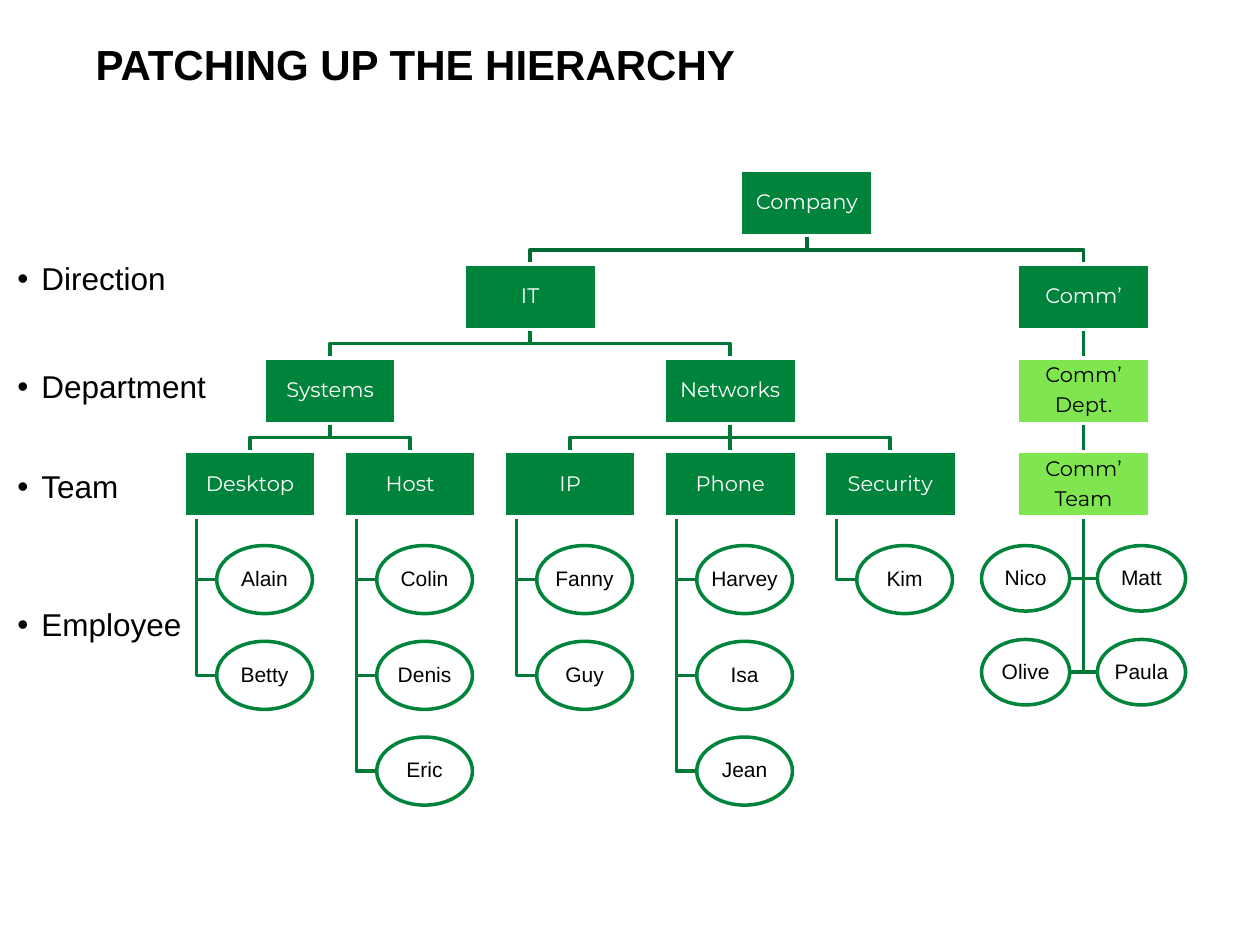
from pptx import Presentation
from pptx.dml.color import RGBColor
from pptx.enum.shapes import MSO_CONNECTOR, MSO_SHAPE
from pptx.enum.text import MSO_ANCHOR, PP_ALIGN
from pptx.oxml.ns import qn
from pptx.util import Inches, Pt
from lxml import etree

RECT, OVAL = MSO_SHAPE.RECTANGLE, MSO_SHAPE.OVAL
STRAIGHT = MSO_CONNECTOR.STRAIGHT
MIDDLE, TOP = MSO_ANCHOR.MIDDLE, MSO_ANCHOR.TOP
CENTER, LEFT = PP_ALIGN.CENTER, PP_ALIGN.LEFT

# Content: a unit is (name, sub-units); a team is (name, list of employees)
TITLE = "PATCHING UP THE HIERARCHY"
LEVELS = [("Direction", 2.04), ("Department", 2.9), ("Team", 3.69), ("Employee", 4.79)]
COMM_TEAM = "Comm’\nTeam"
COMPANY = ("Company", [
    ("IT", [
        ("Systems", [
            ("Desktop", ["Alain", "Betty"]),
            ("Host", ["Colin", "Denis", "Eric"])]),
        ("Networks", [
            ("IP", ["Fanny", "Guy"]),
            ("Phone", ["Harvey", "Isa", "Jean"]),
            ("Security", ["Kim"])])]),
    ("Comm’", [
        ("Comm’\nDept.", [
            (COMM_TEAM, ["Nico", "Matt", "Olive", "Paula"])])])])
ADDED = {"Comm’\nDept.", COMM_TEAM}

THEME = {
    "box": "00843C", "added": "7FE650", "white": "FFFFFF", "black": "000000",
    "root_line": "006A30", "line": "007836", "line_width": 2,
    "body": "Arial", "accent": "Montserrat",
    "title_size": 24, "level_size": 18, "node_size": 12,
}

# Grid, in inches
BOX_W, BOX_H = 1.05, 0.52
ROW_TOP, ROW_STEP = 1.35, 0.745
COL_MID, COL_STEP = 1.985, 1.27
COMM_MID = 8.6
STAFF_TOP = 4.33
STACK = {"w": 0.76, "h": 0.54, "step": 0.76}
PAIR = {"w": 0.7, "h": 0.52, "step": 0.745}
STEM_INSET, STACK_INSET, PAIR_GAP = 0.1, 0.26, 0.11

prs = Presentation()
prs.slide_width, prs.slide_height = Inches(10), Inches(7.5)
s = prs.slides.add_slide(prs.slide_layouts[6])


def rgb(key):
    return RGBColor.from_string(THEME[key])


def set_all(obj, values):
    for name, value in values.items():
        setattr(obj, name, value)


def write(sp, text, size, font="body", color="black", bold=False, inset=0.0,
          anchor=MIDDLE, align=CENTER, after=0.0, wrap=True):
    tf = sp.text_frame
    set_all(tf, {"word_wrap": wrap, "vertical_anchor": anchor})
    if inset is not None:
        set_all(tf, {f"margin_{side}": Inches(inset)
                     for side in ("left", "top", "right", "bottom")})
    for i, line in enumerate(text.split("\n")):
        p = tf.paragraphs[0] if i == 0 else tf.add_paragraph()
        set_all(p, {"alignment": align, "line_spacing": 0.9, "space_after": Pt(after)})
        r = p.add_run()
        r.text = line
        set_all(r.font, {"name": THEME[font], "size": Pt(THEME[size]), "bold": bold})
        r.font.color.rgb = rgb(color)
    return tf


def text_box(x, y, w, h, text, size, **style):
    sp = s.shapes.add_textbox(*map(Inches, (x, y, w, h)))
    return write(sp, text, size, anchor=TOP, align=LEFT, **style)


def node(kind, x, y, w, h, text, fill, line, **style):
    sp = s.shapes.add_shape(kind, *map(Inches, (x, y, w, h)))
    sp.shadow.inherit = False
    sp.fill.solid()
    sp.fill.fore_color.rgb = rgb(fill)
    sp.line.color.rgb = rgb(line)
    sp.line.width = Pt(THEME["line_width"])
    write(sp, text, "node_size", after=4.2, **style)


def link(points, color="line"):
    """Draw a straight connector or an open path with right angles."""
    pts = [(Inches(x), Inches(y)) for x, y in points]
    if len({x for x, y in pts}) == 1:
        sp = s.shapes.add_connector(STRAIGHT, *pts[0], *pts[-1])
        etree.SubElement(sp._element.spPr, qn("a:effectLst"))
    else:
        builder = s.shapes.build_freeform(*pts[0])
        builder.add_line_segments(pts[1:], close=False)
        sp = builder.convert_to_shape()
        sp.fill.background()
        sp.shadow.inherit = False
    sp.line.color.rgb = rgb(color)
    sp.line.width = Pt(THEME["line_width"])


boxes, ovals, links = [], [], []
columns = iter(range(5))


def place_staff(team, names, mid, bottom):
    paired = team == COMM_TEAM
    size = PAIR if paired else STACK
    w, h = size["w"], size["h"]
    left = mid - BOX_W / 2
    stem = mid if paired else left + STEM_INSET
    for i, name in enumerate(names):
        row, side = divmod(i, 2) if paired else (i, 1)
        x = mid + PAIR_GAP if paired else left + STACK_INSET
        edge = x
        if side == 0:
            edge = mid - PAIR_GAP
            x = edge - w
        y = STAFF_TOP + row * size["step"]
        ovals.append((x, y, w, h, name))
        links.append(([(stem, bottom), (stem, y + h / 2), (edge, y + h / 2)], "line"))


def place(unit, depth=0):
    """Centre each unit over its sub-units and return its middle."""
    name, subs = unit
    top = ROW_TOP + depth * ROW_STEP
    bottom = top + BOX_H
    is_team = isinstance(subs[0], str)
    if is_team:
        mid = COMM_MID if name == COMM_TEAM else COL_MID + next(columns) * COL_STEP
        place_staff(name, subs, mid, bottom)
    else:
        mids = [place(sub, depth + 1) for sub in subs]
        mid = (mids[0] + mids[-1]) / 2
        below = top + ROW_STEP
        bend = (bottom + below) / 2
        color = "line" if depth else "root_line"
        for m in mids:
            links.append(([(mid, bottom), (mid, bend), (m, bend), (m, below)], color))
    boxes.append((mid - BOX_W / 2, top, BOX_W, BOX_H, name))
    return mid


# Title
text_box(0.76, 0.35, 8.79, 0.44, TITLE, "title_size", bold=True)

# Organisation chart: lines first, then units and employees
place(COMPANY)
for points, color in links:
    link(points, color)
for box in boxes:
    fill, color = ("added", "black") if box[-1] in ADDED else ("box", "white")
    node(RECT, *box, fill, "white", font="accent", color=color, inset=0.01)
for oval in ovals:
    node(OVAL, *oval, "white", "box", wrap=False)

# Level names
for name, y in LEVELS:
    tf = text_box(0.04, y, 1.89, 0.37, name, "level_size", inset=None)
    pPr = tf.paragraphs[0]._p.get_or_add_pPr()
    pPr.set("marL", str(Inches(0.19)))
    pPr.set("indent", str(-Inches(0.19)))
    etree.SubElement(pPr, qn("a:buFont"), typeface=THEME["body"])
    etree.SubElement(pPr, qn("a:buChar"), char="•")

prs.save("out.pptx")
